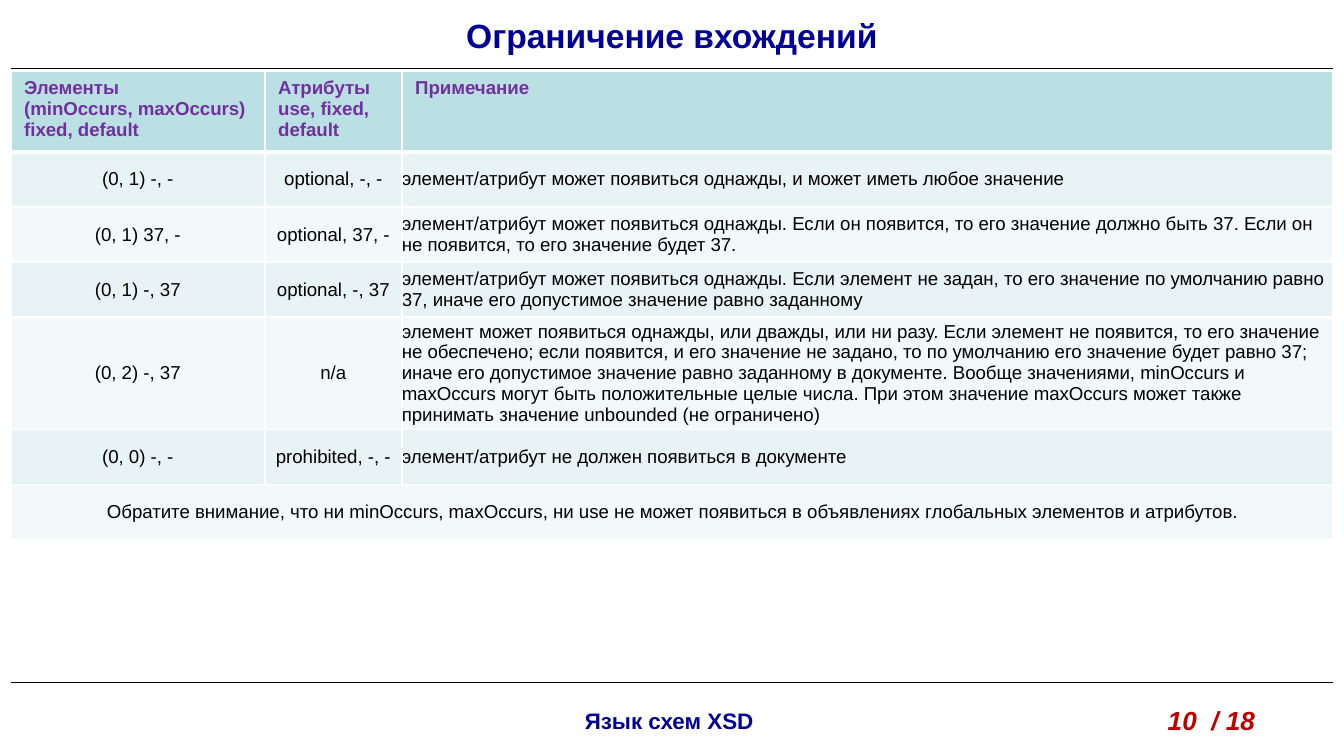
from dataclasses import dataclass

from lxml.etree import SubElement
from pptx import Presentation
from pptx.dml.color import RGBColor
from pptx.enum.text import MSO_ANCHOR, PP_ALIGN
from pptx.oxml.ns import qn
from pptx.util import Inches, Pt


@dataclass(frozen=True)
class Theme:
    font: str = "Arial"
    navy: str = "000099"
    red: str = "C00000"
    purple: str = "7030A0"
    black: str = "000000"
    white: str = "FFFFFF"
    header: str = "BBE0E3"
    bands: tuple = ("E7F3F4", "F3F9FA")
    title: int = 18
    page: int = 14
    footer: int = 12
    body: int = 10


T = Theme()
W = 10
H = W * 9 / 16
MARGIN = 0.08
ROW_H = 0.41
COLUMNS = (1.89, 1.02, 6.93)

HEADERS = (
    "Элементы\n(minOccurs, maxOccurs) fixed, default",
    "Атрибуты\nuse, fixed, default",
    "Примечание",
)
ROWS = (
    ("(0, 1) -, -", "optional, -, -",
     "элемент/атрибут может появиться однажды, и может иметь любое значение"),
    ("(0, 1) 37, -", "optional, 37, -",
     "элемент/атрибут может появиться однажды. Если он появится, то его значение "
     "должно быть 37. Если он не появится, то его значение будет 37."),
    ("(0, 1) -, 37", "optional, -, 37",
     "элемент/атрибут может появиться однажды. Если элемент не задан, то его значение "
     "по умолчанию равно 37, иначе его допустимое значение равно заданному"),
    ("(0, 2) -, 37", "n/a",
     "элемент может появиться однажды, или дважды, или ни разу. Если элемент не "
     "появится, то его значение не обеспечено; если появится, и его значение не задано, "
     "то по умолчанию его значение будет равно 37; иначе его допустимое значение равно "
     "заданному в документе. Вообще значениями, minOccurs и maxOccurs могут быть "
     "положительные целые числа. При этом значение maxOccurs может также принимать "
     "значение unbounded (не ограничено)"),
    ("(0, 0) -, -", "prohibited, -, -",
     "элемент/атрибут не должен появиться в документе"),
)
NOTE = ("Обратите внимание, что ни minOccurs, maxOccurs, ни use не может появиться "
        "в объявлениях глобальных элементов и атрибутов.")


def write(tf, text, size=T.body, color=T.black, bold=False, italic=False,
          align=PP_ALIGN.LEFT):
    """Fill a text frame, one paragraph per line of text."""
    tf.word_wrap = True
    for i, line in enumerate(text.split("\n")):
        p = tf.paragraphs[0] if i == 0 else tf.add_paragraph()
        p.alignment = align
        r = p.add_run()
        r.text = line
        r.font.name, r.font.size = T.font, Pt(size)
        r.font.bold, r.font.italic = bold, italic
        r.font.color.rgb = RGBColor.from_string(color)


def add_text(s, box, text, **style):
    sp = s.shapes.add_textbox(*map(Inches, box))
    sp.text_frame.vertical_anchor = MSO_ANCHOR.TOP
    write(sp.text_frame, text, **style)


def add_rule(s, x, y, w):
    line = s.shapes.add_connector(1, Inches(x), Inches(y), Inches(x + w), Inches(y))
    line.line.color.rgb = RGBColor.from_string(T.black)
    line.line.width = Pt(0.75)
    SubElement(line._element.spPr, qn("a:effectLst"))


def paint_cell(cell, fill, top=1, bottom=1):
    """Set the fill and the white borders of a cell."""
    tc_pr = cell._tc.get_or_add_tcPr()
    for side, width in (("L", 1), ("R", 1), ("T", top), ("B", bottom)):
        ln = SubElement(tc_pr, qn(f"a:ln{side}"), w=str(Pt(width)))
        SubElement(SubElement(ln, qn("a:solidFill")), qn("a:srgbClr"), val=T.white)
    cell.fill.solid()
    cell.fill.fore_color.rgb = RGBColor.from_string(fill)


def add_body_text(cell, text, align):
    cell.vertical_anchor = MSO_ANCHOR.MIDDLE
    cell.margin_left = cell.margin_right = cell.margin_top = cell.margin_bottom = 0
    write(cell.text_frame, text, align=align)


def title_region(s, x, y, w, h):
    add_text(s, (x, y, w, h), "Ограничение вхождений", size=T.title,
             color=T.navy, bold=True, align=PP_ALIGN.CENTER)
    add_rule(s, x + MARGIN, y + h, w - 2 * MARGIN)


def table_region(s, x, y, w):
    count = len(ROWS) + 2
    table = s.shapes.add_table(count, len(COLUMNS), Inches(x), Inches(y),
                               Inches(w), Inches(count * ROW_H)).table
    for column, share in zip(table.columns, COLUMNS):
        column.width = Inches(w * share / sum(COLUMNS))
    for row in table.rows:
        row.height = Inches(ROW_H)

    # Header
    for cell, text in zip(table.rows[0].cells, HEADERS):
        paint_cell(cell, T.header, bottom=3)
        write(cell.text_frame, text, color=T.purple, bold=True)

    # Banded body
    for i in range(1, count):
        for cell in table.rows[i].cells:
            paint_cell(cell, T.bands[(i - 1) % 2], top=3 if i == 1 else 1)
    aligns = (PP_ALIGN.CENTER, PP_ALIGN.CENTER, PP_ALIGN.LEFT)
    for i, texts in enumerate(ROWS, 1):
        for cell, text, align in zip(table.rows[i].cells, texts, aligns):
            add_body_text(cell, text, align)

    # Closing note across all columns
    note = table.cell(count - 1, 0)
    note.merge(table.cell(count - 1, len(COLUMNS) - 1))
    add_body_text(note, NOTE, PP_ALIGN.CENTER)


def footer_region(s, x, y, w):
    add_rule(s, x + MARGIN, y, w - 2 * MARGIN)
    add_text(s, (x + 0.125 * w, y + 0.13, 0.746 * w, 0.3), "Язык схем XSD",
             size=T.footer, color=T.navy, bold=True, align=PP_ALIGN.CENTER)
    add_text(s, (x + 0.859 * w, y + 0.11, 0.102 * w, 0.34), "10  / 18",
             size=T.page, color=T.red, bold=True, italic=True)


def main():
    prs = Presentation()
    prs.slide_width, prs.slide_height = Inches(W), Inches(H)
    s = prs.slides.add_slide(prs.slide_layouts[6])
    footer_region(s, 0, 5.08, W)
    title_region(s, 0, 0.06, W, 0.45)
    table_region(s, MARGIN, 0.53, W - 2 * MARGIN)
    prs.save("out.pptx")


if __name__ == "__main__":
    main()
